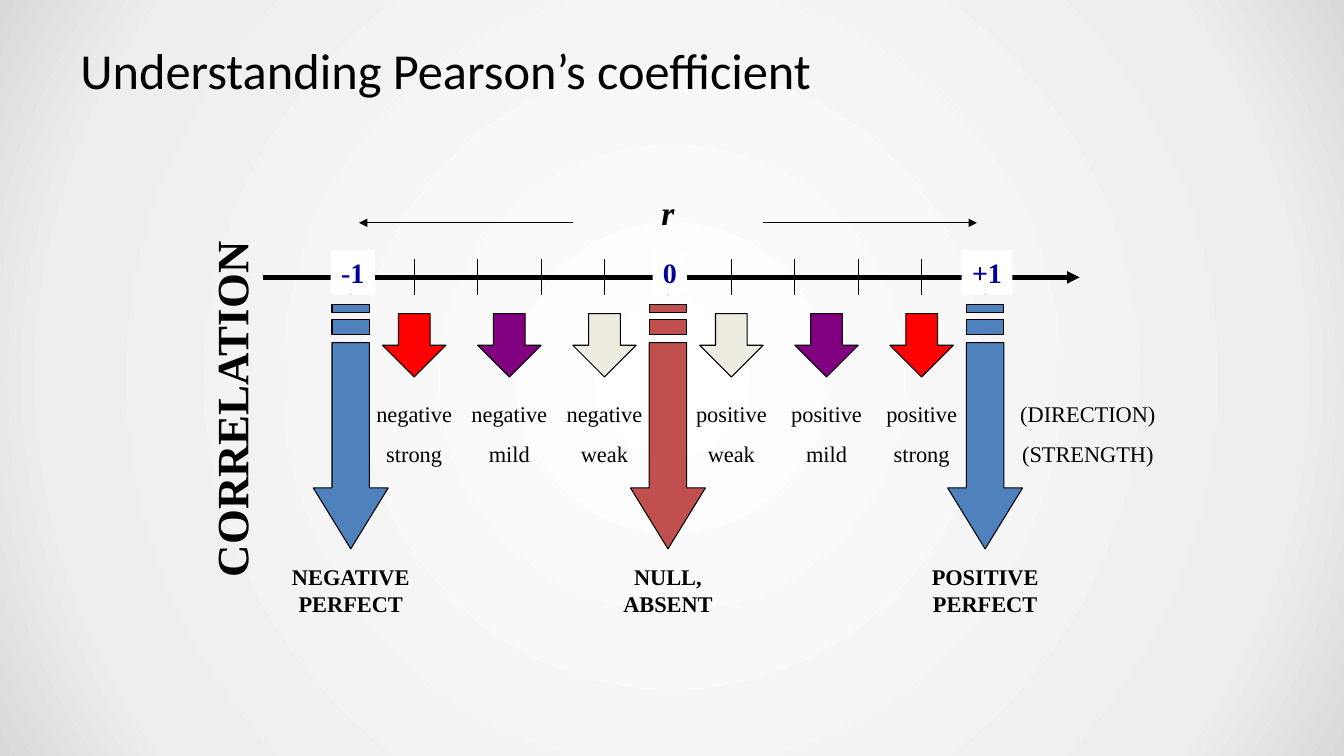
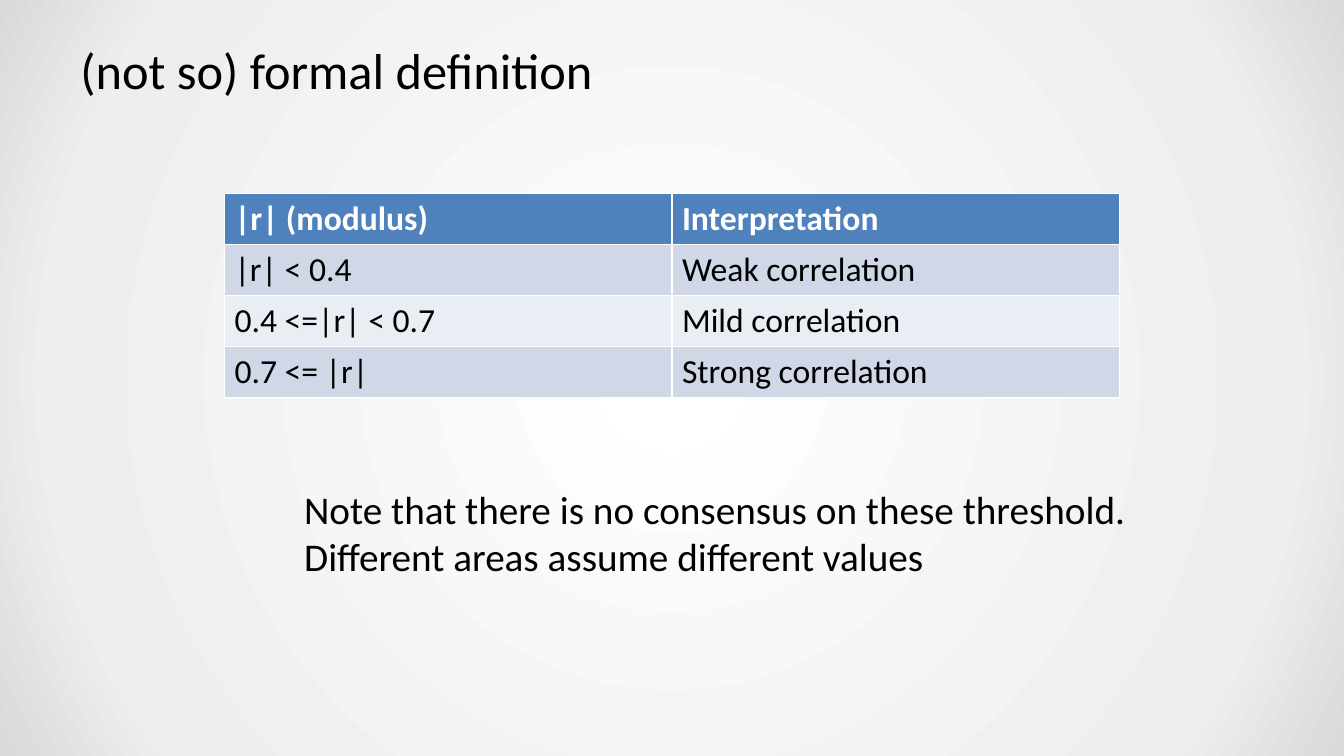
import dataclasses

import lxml.etree
import pptx
import pptx.dml.color
import pptx.enum.shapes
import pptx.enum.text
import pptx.oxml
import pptx.oxml.ns
import pptx.util

SHAPE = pptx.enum.shapes.MSO_SHAPE
ALIGN = pptx.enum.text.PP_ALIGN
ANCHOR = pptx.enum.text.MSO_ANCHOR
SLIDE_W, SLIDE_H = pptx.util.Inches(13.33), pptx.util.Inches(7.5)


@dataclasses.dataclass(frozen=True)
class Theme:
    # Colours
    black: str = "000000"
    white: str = "FFFFFF"
    navy: str = "000099"
    blue: str = "4F81BD"
    brick: str = "C0504D"
    strong: str = "FF0000"
    mild: str = "800080"
    weak: str = "EEECE1"
    bands: tuple = ("D0D8E8", "E9EDF4")
    backdrop: tuple = ((0, "FFFFFF"), (81, "EEEEEE"), (100, "D9D9D9"))
    # Fonts, type sizes and line widths
    sans: str = "Calibri"
    serif: str = "Times New Roman"
    title: int = 36
    heading: int = 32
    note: int = 28
    cell: int = 24
    number: int = 20
    label: int = 16
    label_gap: int = 9
    thin: float = 0.75
    thick: float = 3


T = Theme()


@dataclasses.dataclass(frozen=True)
class Box:
    """A region of the slide, in EMU."""
    x: int
    y: int
    w: int
    h: int


def share(x, y, w, h):
    """Box given in percent of the slide's width and height."""
    return Box(int(SLIDE_W * x / 100), int(SLIDE_H * y / 100),
               int(SLIDE_W * w / 100), int(SLIDE_H * h / 100))


@dataclasses.dataclass(frozen=True)
class Grid:
    """Square cells counted from the top left of a region."""
    box: Box
    columns: int

    def size(self, n):
        return int(self.box.w * n / self.columns)

    def point(self, col, row):
        return self.box.x + self.size(col), self.box.y + self.size(row)

    def centred(self, col, row, w, h):
        """Box whose top edge is centred on a grid point."""
        return Box(*self.point(col - w / 2, row), self.size(w), self.size(h))


# Shared helpers

def rgb(value):
    return pptx.dml.color.RGBColor.from_string(value)


def style(p, font, size, color=T.black, bold=False, italic=False, align=None):
    p.alignment = align
    for r in p.runs:
        r.font.name, r.font.size = font, pptx.util.Pt(size)
        r.font.bold, r.font.italic = bold, italic
        r.font.color.rgb = rgb(color)


def add_text(slide, box, lines, font, size, gap=0, **look):
    sp = slide.shapes.add_textbox(box.x, box.y, box.w, box.h)
    tf = sp.text_frame
    tf.word_wrap = True
    tf.text = "\n".join(lines)
    for i, p in enumerate(tf.paragraphs):
        if i and gap:
            p.space_before = pptx.util.Pt(gap)
        style(p, font, size, **look)
    return sp


def paint(sp, fill, outlined=True):
    sp.shadow.inherit = False
    sp.fill.solid()
    sp.fill.fore_color.rgb = rgb(fill)
    if outlined:
        sp.line.color.rgb = rgb(T.black)
        sp.line.width = pptx.util.Pt(T.thin)
    else:
        sp.line.fill.background()


def add_line(slide, start, end, width=T.thin, arrow=False):
    cn = slide.shapes.add_connector(
        pptx.enum.shapes.MSO_CONNECTOR.STRAIGHT, *start, *end)
    cn.line.color.rgb = rgb(T.black)
    cn.line.width = pptx.util.Pt(width)
    qn = pptx.oxml.ns.qn
    sp_pr = cn.element.find(qn("p:spPr"))
    if arrow:
        lxml.etree.SubElement(sp_pr.find(qn("a:ln")), qn("a:tailEnd"), type="triangle")
    lxml.etree.SubElement(sp_pr, qn("a:effectLst"))


def set_backdrop(master):
    master.background.fill.solid()
    solid = next(master.element.iter(pptx.oxml.ns.qn("a:solidFill")))
    stops = "".join(f'<a:gs pos="{pos * 1000}"><a:srgbClr val="{color}"/></a:gs>'
                    for pos, color in T.backdrop)
    gradient = pptx.oxml.parse_xml(
        f'<a:gradFill {pptx.oxml.ns.nsdecls("a")} rotWithShape="1">'
        f'<a:gsLst>{stops}</a:gsLst><a:path path="circle">'
        '<a:fillToRect l="50000" t="50000" r="50000" b="50000"/></a:path></a:gradFill>')
    solid.getparent().replace(solid, gradient)


def add_titled_slide(prs, title):
    slide = prs.slides.add_slide(prs.slide_layouts.get_by_name("Title Only"))
    sp, box = slide.shapes.title, share(5, 4, 90, 10.4)
    sp.left, sp.top, sp.width, sp.height = box.x, box.y, box.w, box.h
    tf = sp.text_frame
    tf.text = title
    tf.vertical_anchor = ANCHOR.MIDDLE
    tf.margin_left = tf.margin_right = pptx.util.Inches(0.13)
    tf.margin_top = tf.margin_bottom = pptx.util.Inches(0.07)
    style(tf.paragraphs[0], T.sans, T.title, align=ALIGN.LEFT)
    return slide


# Correlation scale: column 0 is -1, column 10 is +1

def add_axis(slide, grid):
    add_line(slide, grid.point(-1.38, 1.43), grid.point(11.49, 1.43), T.thick, arrow=True)
    for col in range(11):
        add_line(slide, grid.point(col, 1.14), grid.point(col, 1.71))
    for start, end in ((6.5, 9.87), (3.5, 0.13)):
        add_line(slide, grid.point(start, 0.57), grid.point(end, 0.57), arrow=True)
    add_text(slide, grid.centred(5, 0, 3.13, 0.8), ["r"], T.serif, T.cell,
             bold=True, italic=True, align=ALIGN.CENTER)


def add_number(slide, grid, col, text, width):
    box = grid.centred(col, 1, width, 0.7)
    sp = slide.shapes.add_shape(SHAPE.RECTANGLE, box.x, box.y, box.w, box.h)
    paint(sp, T.white, outlined=False)
    tf = sp.text_frame
    tf.margin_left = tf.margin_right = 0
    tf.word_wrap = False
    tf.vertical_anchor = ANCHOR.MIDDLE
    tf.text = text
    style(tf.paragraphs[0], T.serif, T.number, T.navy, bold=True, align=ALIGN.CENTER)


def add_striped_arrow(slide, grid, col, fill):
    stem, head = 0.295, 0.59
    arrow = [(stem, 4.75), (stem, 2.46), (-stem, 2.46), (-stem, 4.75),
             (-head, 4.75), (0, 5.71), (head, 4.75)]
    stripes = [[(stem, top), (-stem, top), (-stem, bottom), (stem, bottom)]
               for top, bottom in ((2.1, 2.33), (1.86, 1.98))]
    builder = None
    for outline in (arrow, *stripes):
        first, *rest = [grid.point(col + dx, row) for dx, row in outline]
        if builder is None:
            builder = slide.shapes.build_freeform(*first)
        else:
            builder.move_to(*first)
        builder.add_line_segments(rest, close=True)
    paint(builder.convert_to_shape(), fill)


def add_strength(slide, grid, col, direction, strength, fill):
    box = grid.centred(col, 2, 1, 1)
    paint(slide.shapes.add_shape(SHAPE.DOWN_ARROW, box.x, box.y, box.w, box.h), fill)
    add_label(slide, grid, col, 2, direction, strength)


def add_label(slide, grid, col, width, *lines):
    add_text(slide, grid.centred(col, 3.29, width, 1.22), lines, T.serif, T.label,
             gap=T.label_gap, align=ALIGN.CENTER)


def add_correlation_scale(slide, box):
    grid = Grid(box, 10)
    add_axis(slide, grid)

    # Landmarks of the scale
    for col, number, width, fill, caption in (
            (0, "-1", 0.7, T.blue, "NEGATIVE PERFECT"),
            (5, "0", 0.54, T.brick, "NULL, ABSENT"),
            (10, "+1", 0.8, T.blue, "POSITIVE PERFECT")):
        add_number(slide, grid, col + 0.03, number, width)
        add_striped_arrow(slide, grid, col, fill)
        add_text(slide, grid.centred(col, 5.86, 2.5, 1.02), [caption], T.serif, T.label,
                 bold=True, align=ALIGN.CENTER)

    # Strengths, mirrored about zero
    for offset, strength, fill in ((1, "weak", T.weak), (2.5, "mild", T.mild),
                                   (4, "strong", T.strong)):
        for sign, direction in ((-1, "negative"), (1, "positive")):
            add_strength(slide, grid, 5 + sign * offset, direction, strength, fill)
    add_label(slide, grid, 11.62, 2.5, "(DIRECTION)", "(STRENGTH)")

    # Side heading
    sp = add_text(slide, grid.centred(-1.89, 3, 6, 1.02), ["CORRELATION"], T.serif,
                  T.heading, bold=True, align=ALIGN.CENTER)
    sp.rotation = 270


# Threshold table

def add_thresholds(slide, box, rows):
    table = slide.shapes.add_table(len(rows), len(rows[0]),
                                   box.x, box.y, box.w, box.h).table
    for i, row in enumerate(rows):
        header = i == 0
        for j, text in enumerate(row):
            cell = table.cell(i, j)
            cell.text_frame.text = text
            cell.fill.solid()
            cell.fill.fore_color.rgb = rgb(T.blue if header else T.bands[(i - 1) % 2])
            style(cell.text_frame.paragraphs[0], T.sans, T.cell,
                  T.white if header else T.black, bold=header)


def main():
    prs = pptx.Presentation()
    prs.slide_width, prs.slide_height = SLIDE_W, SLIDE_H
    set_backdrop(prs.slide_master)

    slide = add_titled_slide(prs, "Understanding Pearson’s coefficient")
    add_correlation_scale(slide, share(26.1, 24.7, 47.2, 57.7))

    slide = add_titled_slide(prs, "(not so) formal definition")
    add_thresholds(slide, share(16.7, 25.6, 66.6, 27), [
        ("|r| (modulus)", "Interpretation"),
        ("|r| < 0.4", "Weak correlation"),
        ("0.4 <=|r| < 0.7", "Mild correlation"),
        ("0.7 <= |r|", "Strong correlation")])
    add_text(slide, share(21.9, 63.5, 65, 13.9),
             ["Note that there is no consensus on these threshold.",
              "Different areas assume different values"], T.sans, T.note)

    prs.save("out.pptx")


if __name__ == "__main__":
    main()
